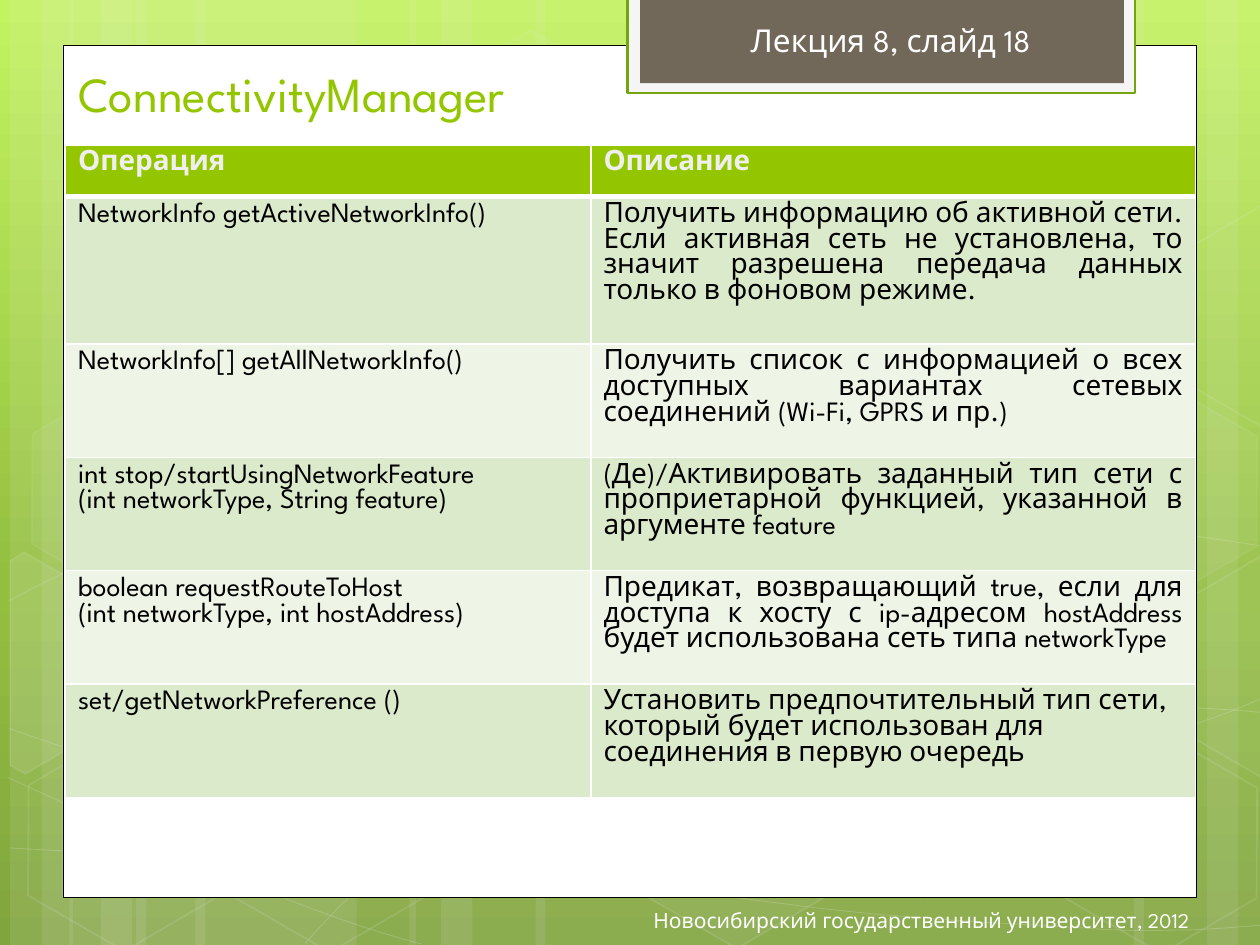
import dataclasses
import math

import pptx
import pptx.dml.color
import pptx.enum.lang
import pptx.enum.shapes
import pptx.enum.text
import pptx.oxml
import pptx.oxml.ns
import pptx.util
from lxml import etree

Inches, Pt = pptx.util.Inches, pptx.util.Pt
SHAPE = pptx.enum.shapes.MSO_SHAPE
ALIGN = pptx.enum.text.PP_ALIGN
ANCHOR = pptx.enum.text.MSO_ANCHOR
RUSSIAN = pptx.enum.lang.MSO_LANGUAGE_ID.RUSSIAN
qn = pptx.oxml.ns.qn


@dataclasses.dataclass(frozen=True)
class Theme:
    font: str = "League Spartan"
    accent: str = "94C600"
    frame: str = "74A510"
    banner: str = "71685A"
    banner_edge: str = "F5F5F5"
    white: str = "FFFFFF"
    light: str = "EFEFEF"
    black: str = "000000"
    bands: tuple = ("DCEACC", "EEF5E7")
    background: tuple = ((0, "C3F35F"), (62, "93BF3F"), (100, "81A53E"))
    title: int = 28
    label: int = 18
    cell: int = 16
    footer: int = 12


T = Theme()
TILT = 30

STRIPES = [(1.08, 1.75), (0.08, 0.5), (0.33, 0.83), (1.55, 1.75), (0.55, 0.5), (0.8, 0.83),
           (7.33, 1.75), (9.58, 0.5), (9, 0.83), (4.25, 3.08), (3.25, 0.5), (3.5, 0.83)]

# Each curve: a start point, then cubic segments of two controls and an end.
CURVES = [
    [(0.07, 6.73), (0.61, 6.76), (1.15, 6.79), (1.9, 6.78), (2.65, 6.77), (3.58, 6.75), (4.58, 6.65),
     (5.58, 6.55), (7, 6.36), (7.92, 6.17), (8.83, 5.98), (9.77, 5.68), (10.07, 5.51)],
    [(0.07, 4.77), (0.36, 4.61), (0.65, 4.46), (1.21, 4.31), (1.78, 4.16), (2.59, 3.94), (3.47, 3.87),
     (4.36, 3.8), (5.44, 3.79), (6.54, 3.87), (7.64, 3.95), (9.47, 4.26), (10.07, 4.34)],
    [(0.06, 6.17), (1.27, 6.72), (2.47, 7.27), (3.34, 7.49)],
    [(0.07, 5.78), (0.38, 5.89), (0.7, 6), (1.28, 6.16), (1.86, 6.31), (2.73, 6.56), (3.57, 6.73),
     (4.4, 6.9), (5.45, 7.08), (6.28, 7.18), (7.11, 7.29), (8, 7.33), (8.53, 7.36),
     (9.05, 7.4), (9.19, 7.38), (9.45, 7.38), (9.71, 7.37), (9.89, 7.35), (10.07, 7.34)],
    [(2.42, 7.49), (2.6, 7.29), (2.78, 7.09), (3.02, 6.91), (3.26, 6.73), (3.6, 6.53), (3.88, 6.39),
     (4.16, 6.25), (4.33, 6.19), (4.7, 6.09), (5.06, 5.99), (5.73, 5.85), (6.08, 5.78),
     (6.44, 5.71), (6.49, 5.71), (6.8, 5.69), (7.11, 5.66), (7.6, 5.63), (7.94, 5.62),
     (8.29, 5.61), (8.86, 5.62), (8.86, 5.62), (8.86, 5.62), (9.53, 5.62), (9.53, 5.62),
     (9.71, 5.63), (9.88, 5.64), (10.06, 5.66)],
]

# Left, top, fill opacity, line opacity (percent).
HEXAGONS = [(3.34, 0.36, 4, 8), (4.97, 5.89, 6, 12), (0.11, 5.91, 0, 12), (0.14, 3.12, 7, 8),
            (1.74, 5.92, 0, 12), (7.53, 4.53, 10, 12), (8.34, 5.93, 0, 12), (8.34, 3.14, 7, 8)]

# Hexagons cut off by the slide's edge: centre, points as seen, fill opacity.
CUT_HEXAGONS = [
    ((0.36, 5.35), [(0.08, 4.45), (0.19, 4.38), (0.96, 4.82), (0.95, 5.7), (0.2, 6.14), (0.08, 6.07)], 10),
    ((9.85, 5.2), [(9.26, 4.85), (10.01, 4.41), (10.09, 4.46), (10.09, 6.13), (10.02, 6.17), (9.26, 5.73)], 4),
    ((9.85, 2.41), [(9.26, 2.07), (10.01, 1.63), (10.1, 1.68), (10.09, 3.35), (10.02, 3.39), (9.26, 2.95)], 0),
]

ROWS = [
    (["Операция"], "Описание"),
    (["NetworkInfo getActiveNetworkInfo() "],
     "Получить информацию об активной сети. Если активная сеть не установлена, "
     "то значит разрешена передача данных только в фоновом режиме."),
    (["NetworkInfo[] getAllNetworkInfo()"],
     "Получить список с информацией о всех доступных вариантах сетевых соединений (Wi-Fi, GPRS и пр.)"),
    (["int stop/startUsingNetworkFeature ", "(int networkType, String feature)"],
     "(Де)/Активировать заданный тип сети с проприетарной функцией, указанной в аргументе feature"),
    (["boolean requestRouteToHost ", "(int networkType, int hostAddress)"],
     "Предикат, возвращающий true, если для доступа к хосту с ip-адресом hostAddress "
     "будет использована сеть типа networkType"),
    (["set/getNetworkPreference ()"],
     "Установить предпочтительный тип сети, который будет использован для соединения в первую очередь"),
]
ROW_HEIGHTS = [0.41, 1.17] + [0.9] * 4


def rgb(color):
    return pptx.dml.color.RGBColor.from_string(color)


def set_alpha(fill_parent, percent):
    if percent < 100:
        color = fill_parent.find(qn("a:solidFill")).find(qn("a:srgbClr"))
        etree.SubElement(color, qn("a:alpha")).set("val", str(percent * 1000))


def style(sp, fill=None, line=None, width=1, fill_alpha=100, line_alpha=100):
    sp.shadow.inherit = False
    if fill and fill_alpha:
        sp.fill.solid()
        sp.fill.fore_color.rgb = rgb(fill)
        set_alpha(sp._element.spPr, fill_alpha)
    else:
        sp.fill.background()
    if line:
        sp.line.color.rgb = rgb(line)
        sp.line.width = Pt(width)
        set_alpha(sp.line._get_or_add_ln(), line_alpha)
    else:
        sp.line.fill.background()
    return sp


def add_box(s, box, kind=SHAPE.RECTANGLE, **look):
    return style(s.shapes.add_shape(kind, *map(Inches, box)), **look)


def add_outline(s, points, close, **look):
    pts = [(Inches(x), Inches(y)) for x, y in points]
    builder = s.shapes.build_freeform(*pts[0])
    builder.add_line_segments(pts[1:], close=close)
    return style(builder.convert_to_shape(), **look)


def bend(sp):
    """Turn each three line segments of a freeform into one cubic curve."""
    lines = list(sp._element.iter(qn("a:lnTo")))
    for i in range(0, len(lines), 3):
        curve = etree.SubElement(lines[i].getparent(), qn("a:cubicBezTo"))
        for line in lines[i:i + 3]:
            curve.append(line[0])
            line.getparent().remove(line)


def turn_back(point, centre):
    """Undo the tilt of a point about a centre."""
    a = math.radians(-TILT)
    dx, dy = point[0] - centre[0], point[1] - centre[1]
    return (centre[0] + dx * math.cos(a) - dy * math.sin(a),
            centre[1] + dx * math.sin(a) + dy * math.cos(a))


def write(tf, lines, size, color, align=ALIGN.LEFT, bold=False):
    for i, line in enumerate(lines):
        p = tf.paragraphs[0] if i == 0 else tf.add_paragraph()
        p.alignment = align
        r = p.add_run()
        r.text = line
        r.font.name, r.font.size, r.font.bold = T.font, Pt(size), bold
        r.font.language_id = RUSSIAN
        r.font.color.rgb = rgb(color)


def draw_background(s):
    s.background.fill.gradient()
    grad = s._element.cSld.find(".//" + qn("a:gradFill"))
    stops = grad.find(qn("a:gsLst"))
    for gs in list(stops):
        stops.remove(gs)
    for pos, color in T.background:
        gs = etree.SubElement(stops, qn("a:gs"), pos=str(pos * 1000))
        etree.SubElement(gs, qn("a:srgbClr"), val=color)
    grad.find(qn("a:lin")).set("ang", "5400000")


def draw_decor(s, height):
    for x, w in STRIPES:
        add_box(s, (x, 0, w, height), fill=T.light, fill_alpha=10)
    for curve in CURVES:
        bend(add_outline(s, curve, False, line=T.light, width=0.5, line_alpha=20))
    for x, y, fill_alpha, line_alpha in HEXAGONS:
        sp = add_box(s, (x, y, 1.75, 1.52), SHAPE.HEXAGON, fill=T.light, line=T.light,
                     fill_alpha=fill_alpha, line_alpha=line_alpha)
        sp.adjustments[0] = 0.285
        sp.rotation = TILT
    for centre, points, fill_alpha in CUT_HEXAGONS:
        sp = add_outline(s, [turn_back(pt, centre) for pt in points], True, fill=T.light,
                         line=T.light, fill_alpha=fill_alpha, line_alpha=12)
        sp.rotation = TILT


def draw_banner(s, x, y, w, h):
    add_box(s, (x, y, w, h), fill=T.banner_edge, line=T.frame, width=1.25)
    add_box(s, (x + 0.1, y, w - 0.19, h - 0.08), fill=T.banner)


def draw_title(s, box):
    title = s.shapes.title
    title._element.getparent().append(title._element)  # bring in front of the panel
    title.left, title.top, title.width, title.height = map(Inches, box)
    tf = title.text_frame
    tf.vertical_anchor = ANCHOR.BOTTOM
    write(tf, ["ConnectivityManager"], T.title, T.accent)


def draw_label(s, box, text, size, align=ALIGN.LEFT, anchor=ANCHOR.TOP, wrap=True):
    tf = s.shapes.add_textbox(*map(Inches, box)).text_frame
    tf.word_wrap, tf.vertical_anchor = wrap, anchor
    write(tf, [text], size, T.white, align)


def set_borders(cell, **widths):
    tcPr = cell._tc.get_or_add_tcPr()
    for side in ("L", "R", "T", "B"):
        ln = etree.SubElement(tcPr, qn("a:ln" + side), w=str(Pt(widths.get(side, 1))))
        etree.SubElement(etree.SubElement(ln, qn("a:solidFill")), qn("a:srgbClr"), val=T.white)


def draw_table(s, x, y, col_widths):
    table = s.shapes.add_table(len(ROWS), 2, Inches(x), Inches(y), Inches(sum(col_widths)),
                               Inches(sum(ROW_HEIGHTS))).table
    table.horz_banding = False
    for col, w in zip(table.columns, col_widths):
        col.width = Inches(w)
    for i, (operation, description) in enumerate(ROWS):
        table.rows[i].height = Inches(ROW_HEIGHTS[i])
        head = i == 0
        align = ALIGN.LEFT if head or i == len(ROWS) - 1 else ALIGN.JUSTIFY
        for j, lines in enumerate((operation, [description])):
            cell = table.cell(i, j)
            set_borders(cell, B=3 if head else 1, T=3 if i == 1 else 1)
            cell.fill.solid()
            cell.fill.fore_color.rgb = rgb(T.accent if head else T.bands[(i - 1) % 2])
            write(cell.text_frame, lines, T.cell, T.light if head else T.black, align, head)


def main():
    prs = pptx.Presentation()
    prs.slide_width, prs.slide_height = Inches(10), Inches(7.5)
    s = prs.slides.add_slide(prs.slide_layouts[5])
    draw_background(s)
    draw_decor(s, 7.5)
    add_box(s, (0.5, 0.36, 9, 6.76), fill=T.white, line=T.black, width=0.5)
    draw_banner(s, 4.98, -0.02, 4.03, 0.76)
    draw_title(s, (0.52, 0.36, 8.42, 0.66))
    draw_label(s, (5.86, 0.12, 2.59, 0.4), "Лекция 8, слайд 18", T.label, wrap=False)
    draw_label(s, (3.11, 7.1, 6.43, 0.4), "Новосибирский государственный университет, 2012",
               T.footer, ALIGN.RIGHT, ANCHOR.MIDDLE)
    draw_table(s, 0.52, 1.15, (4.17, 4.8))
    prs.save("out.pptx")


if __name__ == "__main__":
    main()
